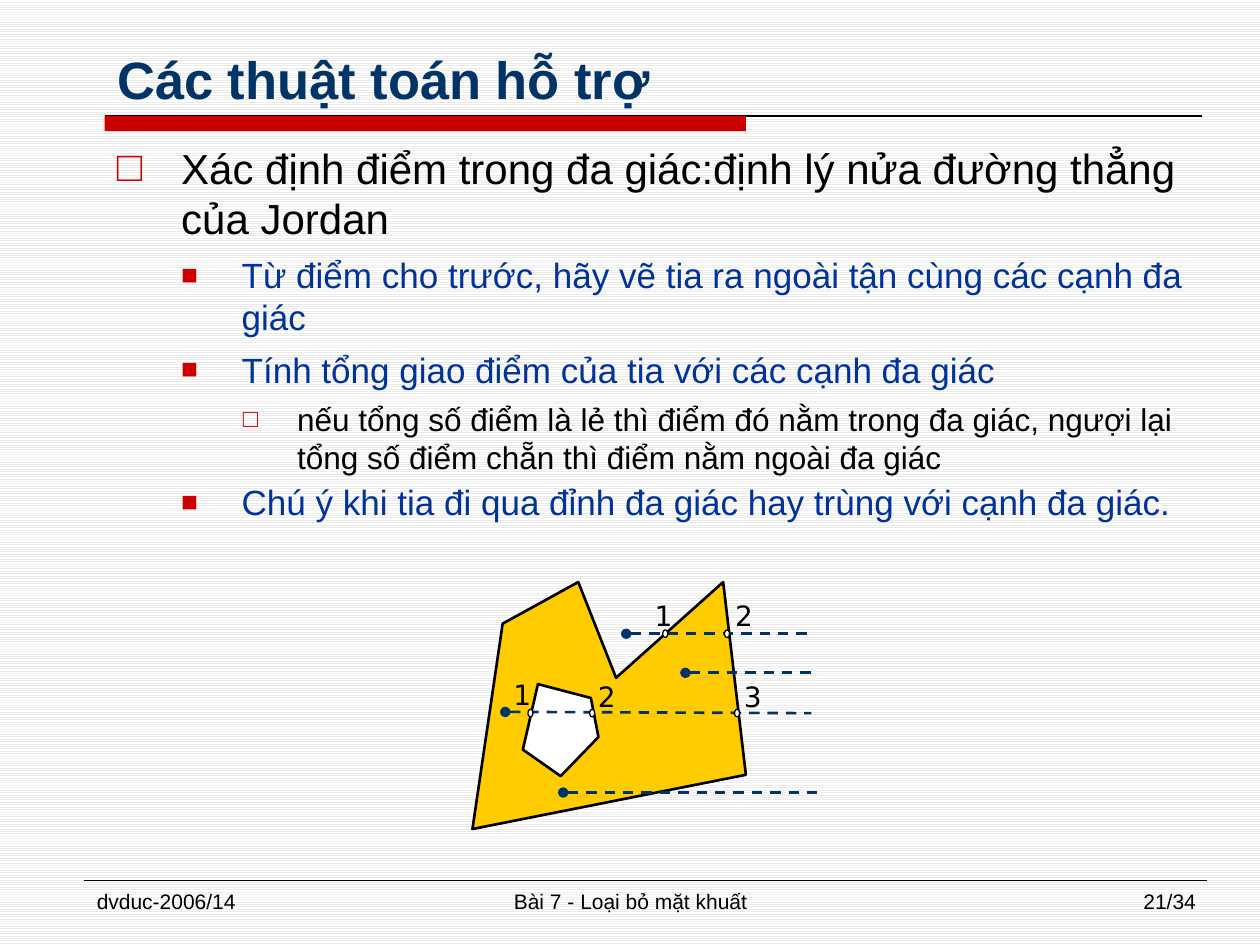
from dataclasses import dataclass

from lxml import etree
from pptx import Presentation
from pptx.dml.color import RGBColor
from pptx.enum import dml, shapes, text
from pptx.oxml import ns
from pptx.util import Inches, Pt

BLACK = RGBColor(0, 0, 0)
WHITE = RGBColor(0xFF, 0xFF, 0xFF)
STRIPE = RGBColor(0xEA, 0xEA, 0xEA)
RED = RGBColor(0xCC, 0, 0)
NAVY = RGBColor(0, 0x33, 0x66)
BLUE = RGBColor(0, 0x33, 0x99)
YELLOW = RGBColor(0xFF, 0xCC, 0)

Point = tuple[float, float]


@dataclass
class Level:
    left: float
    hanging: float
    size: int
    color: RGBColor
    bullet: str
    bullet_size: int
    before: float
    after: float


@dataclass
class Ray:
    start: Point
    end: Point
    crossings: tuple[float, ...] = ()


@dataclass
class Label:
    text: str
    x: float
    y: float


LEVELS = [
    Level(0.51, 0.51, 24, BLACK, "□", 100, 3, 3),
    Level(0.99, 0.48, 20, BLUE, "■", 80, 3, 3),
    Level(1.43, 0.43, 18, BLACK, "□", 80, 2.7, 0),
]
BODY = [
    (0, "Xác định điểm trong đa giác:định lý nửa đường thẳng của Jordan"),
    (1, "Từ điểm cho trước, hãy vẽ tia ra ngoài tận cùng các cạnh đa giác"),
    (1, "Tính tổng giao điểm của tia với các cạnh đa giác"),
    (2, "nếu tổng số điểm là lẻ thì điểm đó nằm trong đa giác, ngượi lại "
        "tổng số điểm chẵn thì điểm nằm ngoài đa giác"),
    (1, "Chú ý khi tia đi qua đỉnh đa giác hay trùng với cạnh đa giác."),
]
OUTER = [(3.75, 6.58), (3.99, 4.95), (4.59, 4.62), (4.89, 5.38), (5.74, 4.62), (5.92, 6.15)]
HOLE = [(4.15, 5.95), (4.27, 5.43), (4.69, 5.54), (4.75, 5.85), (4.45, 6.16)]
RAYS = [
    Ray((4.97, 5.03), (6.46, 5.03), (5.28, 5.77)),
    Ray((4.47, 6.29), (6.52, 6.29)),
    Ray((5.44, 5.34), (6.46, 5.34)),
    Ray((4.01, 5.65), (6.44, 5.66), (4.21, 4.7, 5.85)),
]
LABELS = [
    Label("1", 5.04, 4.7), Label("2", 5.68, 4.7),
    Label("1", 3.92, 5.33), Label("2", 4.59, 5.34), Label("3", 5.75, 5.34),
]
FOOTERS = [
    ("dvduc-2006/14", 0.67, 2.17, text.PP_ALIGN.LEFT),
    ("Bài 7 - Loại bỏ mặt khuất", 3.42, 3.17, text.PP_ALIGN.CENTER),
    ("21/34", 7.42, 2.17, text.PP_ALIGN.RIGHT),
]


def write(p, content: str, *, size: float, color: RGBColor = BLACK, font: str = "Arial",
          bold: bool = False, align=text.PP_ALIGN.LEFT) -> None:
    p.alignment = align
    r = p.add_run()
    r.text = content
    r.font.size = Pt(size)
    r.font.name = font
    r.font.bold = bold
    r.font.color.rgb = color


def add_box(x: float, y: float, w: float, h: float):
    tf = slide.shapes.add_textbox(Inches(x), Inches(y), Inches(w), Inches(h)).text_frame
    tf.word_wrap = True
    return tf


def set_level(p, level: Level) -> None:
    p.space_before, p.space_after = Pt(level.before), Pt(level.after)
    pPr = p._p.get_or_add_pPr()
    pPr.set("marL", str(Inches(level.left)))
    pPr.set("indent", str(-Inches(level.hanging)))
    color = etree.SubElement(pPr, ns.qn("a:buClr"))
    etree.SubElement(color, ns.qn("a:srgbClr"), val=str(RED))
    etree.SubElement(pPr, ns.qn("a:buSzPct"), val=str(level.bullet_size * 1000))
    etree.SubElement(pPr, ns.qn("a:buFont"), typeface="Arial")
    etree.SubElement(pPr, ns.qn("a:buChar"), char=level.bullet)


def paint(sp, fill: RGBColor, line: RGBColor | None = None, width: float = 0.75) -> None:
    sp.shadow.inherit = False
    sp.fill.solid()
    sp.fill.fore_color.rgb = fill
    if line is None:
        sp.line.fill.background()
    else:
        sp.line.color.rgb = line
        sp.line.width = Pt(width)


def add_line(start: Point, end: Point, color: RGBColor, width: float):
    line = slide.shapes.add_connector(
        shapes.MSO_CONNECTOR.STRAIGHT, *(Inches(v) for v in start + end))
    line.line.color.rgb = color
    line.line.width = Pt(width)
    etree.SubElement(line._element.spPr, ns.qn("a:effectLst"))
    return line


def add_polygon(points: list[Point], fill: RGBColor) -> None:
    corners = [(Inches(x), Inches(y)) for x, y in points]
    builder = slide.shapes.build_freeform(*corners[0])
    builder.add_line_segments(corners[1:], close=True)
    paint(builder.convert_to_shape(), fill, BLACK, 1.5)


def add_ray(ray: Ray) -> None:
    line = add_line(ray.start, ray.end, NAVY, 1.5)
    line.line.dash_style = dml.MSO_LINE.DASH
    etree.SubElement(line.line._get_or_add_ln(), ns.qn("a:headEnd"), type="oval")


def add_crossing(x: float, y: float) -> None:
    w, h = 0.04, 0.06
    sp = slide.shapes.add_shape(shapes.MSO_SHAPE.OVAL, Inches(x - w / 2), Inches(y - h / 2),
                                Inches(w), Inches(h))
    paint(sp, WHITE, BLACK)


prs = Presentation()
prs.slide_width, prs.slide_height = Inches(10), Inches(7.5)
slide = prs.slides.add_slide(prs.slide_layouts[5])
background = slide.background.fill
background.patterned()
background.pattern = dml.MSO_PATTERN.LIGHT_HORIZONTAL
background.fore_color.rgb = STRIPE
background.back_color.rgb = WHITE

add_line((0.83, 0.92), (9.54, 0.92), BLACK, 0.75)
bar = slide.shapes.add_shape(shapes.MSO_SHAPE.RECTANGLE, Inches(0.83), Inches(0.92),
                             Inches(5.09), Inches(0.12))
paint(bar, RED)
add_line((0.67, 6.99), (9.58, 6.99), BLACK, 0.25)

title = slide.shapes.title
title.left, title.top = Inches(0.83), Inches(0.17)
title.width, title.height = Inches(9), Inches(0.75)
tf = title.text_frame
tf.auto_size = text.MSO_AUTO_SIZE.NONE
tf.vertical_anchor = text.MSO_ANCHOR.BOTTOM
write(tf.paragraphs[0], "Các thuật toán hỗ trợ", size=30, color=NAVY, bold=True)

tf = add_box(0.83, 1.08, 9, 5.83)
for i, (depth, content) in enumerate(BODY):
    p = tf.add_paragraph() if i else tf.paragraphs[0]
    level = LEVELS[depth]
    p.level = depth
    set_level(p, level)
    write(p, content, size=level.size, color=level.color)

for content, x, w, align in FOOTERS:
    write(add_box(x, 7, w, 0.35).paragraphs[0], content, size=12, align=align)

add_polygon(OUTER, YELLOW)
add_polygon(HOLE, WHITE)
for ray in RAYS:
    add_ray(ray)
for label in LABELS:
    write(add_box(label.x, label.y, 0.45, 0.42).paragraphs[0], label.text, size=16,
          font="DejaVu Sans", align=text.PP_ALIGN.CENTER)
for ray in RAYS:
    for x in ray.crossings:
        add_crossing(x, ray.end[1])

prs.save("out.pptx")
